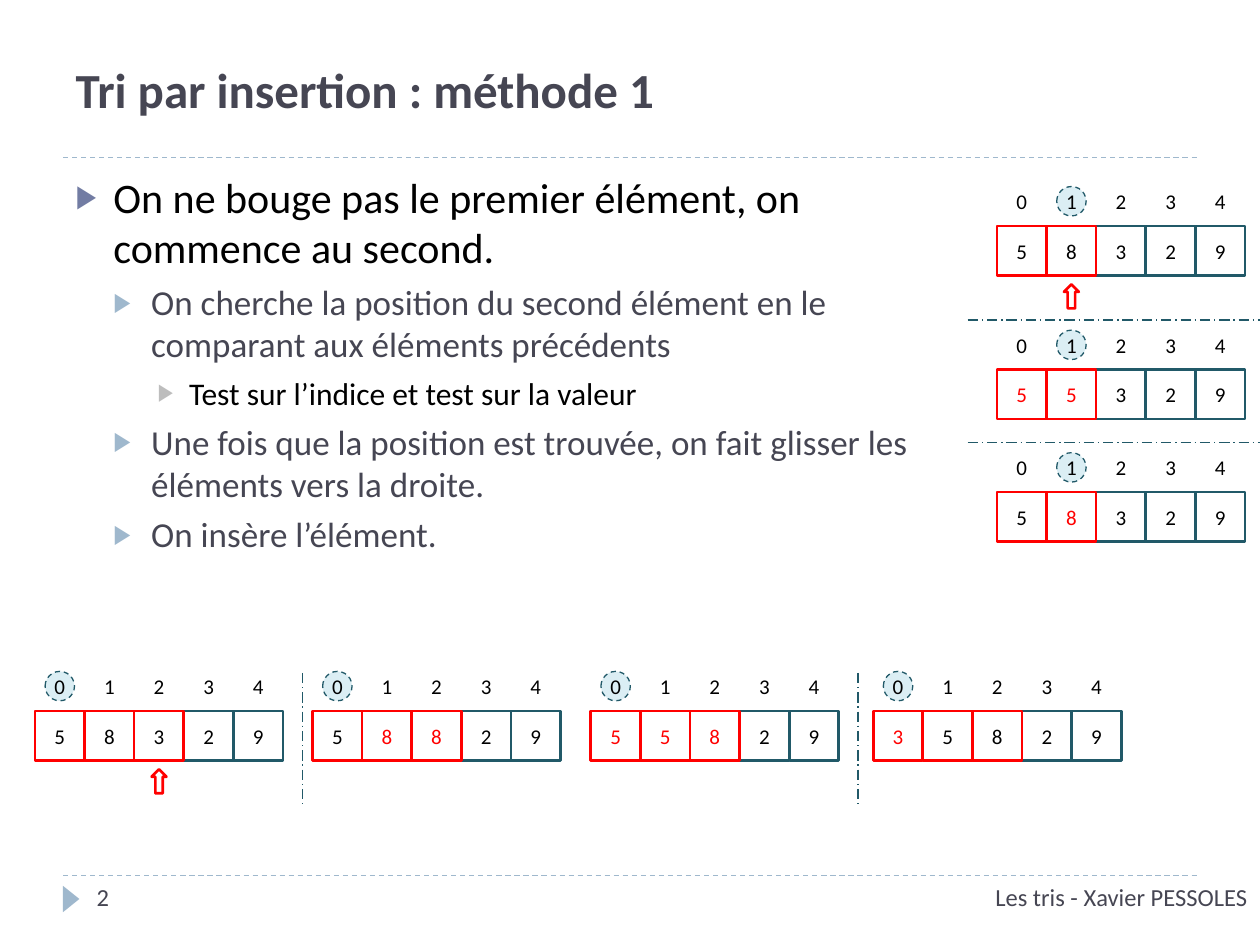
from lxml import etree
from pptx import Presentation
from pptx import util as u
from pptx.dml import color
from pptx.enum import dml, shapes, text
from pptx.oxml import ns

Pt = u.Pt
HUES = {"ink": "464653", "black": "000000", "red": "FF0000", "teal": "215968",
        "pale": "DBEEF4", "sky": "9FB8CD", "plum": "727CA3", "grey": "BDBDBD"}
RGB = {name: color.RGBColor.from_string(code) for name, code in HUES.items()}
KIND = shapes.MSO_SHAPE
DASH = dml.MSO_LINE
LEFT, MID, RIGHT = text.PP_ALIGN.LEFT, text.PP_ALIGN.CENTER, text.PP_ALIGN.RIGHT


def write(para, words, size, hue, align=LEFT, bold=False):
    para.alignment = align
    run = para.add_run()
    look = {"name": "Calibri", "size": Pt(size), "bold": bold}
    run.text = words
    for key, val in look.items():
        setattr(run.font, key, val)
    run.font.color.rgb = RGB[hue]


def draw(kind, box, fill=None, line=None, width=0.75, dash=None, turn=0):
    item = slide.shapes.add_shape(kind, *map(Pt, box))
    item.shadow.inherit = False
    item.rotation = turn
    if fill:
        item.fill.solid()
        item.fill.fore_color.rgb = RGB[fill]
    else:
        item.fill.background()
    if line:
        item.line.color.rgb = RGB[line]
        item.line.width = Pt(width)
        item.line.dash_style = dash
    else:
        item.line.fill.background()
    return item


deck = Presentation()
deck.slide_width, deck.slide_height = Pt(720), Pt(540)
slide = deck.slides.add_slide(deck.slide_layouts[1])
title, body = slide.placeholders

places = [(title, (36, 12.2, 550.8, 77.8), text.MSO_ANCHOR.MIDDLE),
          (body, (36, 94.3, 511.2, 254.9), text.MSO_ANCHOR.TOP)]
for holder, box, anchor in places:
    for key, val in zip(("left", "top", "width", "height"), box):
        setattr(holder, key, Pt(val))
    look = {"auto_size": text.MSO_AUTO_SIZE.NONE, "word_wrap": True,
            "vertical_anchor": anchor}
    for key, val in look.items():
        setattr(holder.text_frame, key, val)

write(title.text_frame.paragraphs[0], "Tri par insertion : méthode 1", 28, "ink", bold=True)

levels = [
    {"size": 24, "hue": "black", "mark": "plum", "gap": 6, "left": 21.6, "hang": 21.6},
    {"size": 20, "hue": "ink", "mark": "sky", "gap": 5, "left": 43.2, "hang": 21.6},
    {"size": 18, "hue": "black", "mark": "grey", "gap": 5, "left": 64.8, "hang": 18},
]
points = [
    (0, "On ne bouge pas le premier élément, on commence au second."),
    (1, "On cherche la position du second élément en le comparant aux éléments précédents"),
    (2, "Test sur l’indice et test sur la valeur"),
    (1, "Une fois que la position est trouvée, on fait glisser les éléments vers la droite."),
    (1, "On insère l’élément."),
]
for n, (level, words) in enumerate(points):
    frame = body.text_frame
    para = frame.add_paragraph() if n else frame.paragraphs[0]
    rule = levels[level]
    write(para, words, rule["size"], rule["hue"])
    para.level = level
    para.space_before = Pt(rule["gap"])
    props = para._p.get_or_add_pPr()
    props.set("marL", str(Pt(rule["left"])))
    props.set("indent", str(-Pt(rule["hang"])))
    tint = etree.SubElement(props, ns.qn("a:buClr"))
    etree.SubElement(tint, ns.qn("a:srgbClr"), val=HUES[rule["mark"]])
    etree.SubElement(props, ns.qn("a:buSzPct"), val="76000")
    etree.SubElement(props, ns.qn("a:buChar"), char="▶")

draw(KIND.ISOSCELES_TRIANGLE, (33.1, 509, 15.1, 9.4), fill="sky", turn=90)
notes = [((201.6, 500.4, 518.4, 28.8), "Les tris - Xavier PESSOLES", RIGHT),
         ((48.2, 500.4, 156.2, 28.8), "2", LEFT)]
for box, words, align in notes:
    label = slide.shapes.add_textbox(*map(Pt, box))
    label.text_frame.word_wrap = True
    write(label.text_frame.paragraphs[0], words, 14, "ink", align)

rules = [
    (36, 90, 684, 90, "sky", DASH.DASH),
    (36, 500.4, 684, 500.4, "sky", DASH.DASH),
    (172.8, 384.5, 172.8, 460.8, "teal", DASH.LONG_DASH_DOT),
    (490.3, 384.5, 490.3, 460.8, "teal", DASH.LONG_DASH_DOT),
    (553, 182.9, 720, 182.9, "teal", DASH.LONG_DASH_DOT),
    (553, 252.7, 720, 252.7, "teal", DASH.LONG_DASH_DOT),
]
for x1, y1, x2, y2, hue, dash in rules:
    rule = slide.shapes.add_connector(shapes.MSO_CONNECTOR.STRAIGHT, *map(Pt, (x1, y1, x2, y2)))
    rule.line.color.rgb = RGB[hue]
    rule.line.width = Pt(0.75)
    rule.line.dash_style = dash
    etree.SubElement(rule._element.spPr, ns.qn("a:effectLst"))

CELL, DOT = 28.35, 16.8
steps = [
    {"x": 569.7, "y": 100.8, "nums": "58329", "done": 2, "hot": (), "ring": 1, "arrow": 1},
    {"x": 569.7, "y": 182.9, "nums": "55329", "done": 2, "hot": (0, 1), "ring": 1},
    {"x": 569.7, "y": 252.9, "nums": "58329", "done": 2, "hot": (1,), "ring": 1},
    {"x": 20, "y": 377.9, "nums": "58329", "done": 3, "hot": (), "ring": 0, "arrow": 2},
    {"x": 178.6, "y": 377.9, "nums": "58829", "done": 3, "hot": (1, 2), "ring": 0},
    {"x": 337.6, "y": 377.9, "nums": "55829", "done": 3, "hot": (0, 1, 2), "ring": 0},
    {"x": 499, "y": 377.9, "nums": "35829", "done": 3, "hot": (0,), "ring": 0},
]
for step in steps:
    x, y, nums, done = step["x"], step["y"], step["nums"], step["done"]
    inset = (CELL - DOT) / 2
    draw(KIND.OVAL, (x + step["ring"] * CELL + inset, y + inset, DOT, DOT),
         fill="pale", line="teal", dash=DASH.DASH)
    cells = []
    for col in [*range(done, len(nums)), *range(done)]:
        left = x + col * CELL
        edge = "red" if col < done else "teal"
        cell = draw(KIND.RECTANGLE, (left, y + CELL, CELL, CELL), line=edge, width=1.5)
        index = slide.shapes.add_textbox(*map(Pt, (left, y, CELL, CELL)))
        cells += [(cell, nums[col], "red" if col in step["hot"] else "black"),
                  (index, str(col), "black")]
    for item, words, hue in cells:
        look = {"vertical_anchor": text.MSO_ANCHOR.MIDDLE, "word_wrap": True,
                "margin_left": 0, "margin_right": 0, "margin_top": 0, "margin_bottom": 0}
        for key, val in look.items():
            setattr(item.text_frame, key, val)
        write(item.text_frame.paragraphs[0], words, 12, hue, MID)
    if "arrow" in step:
        mid = x + (step["arrow"] + 0.5) * CELL
        draw(KIND.DOWN_ARROW, (mid - 4.25, y + 2 * CELL + 5, 8.5, 13.7),
             line="red", width=1.5, turn=180)

deck.save("out.pptx")
